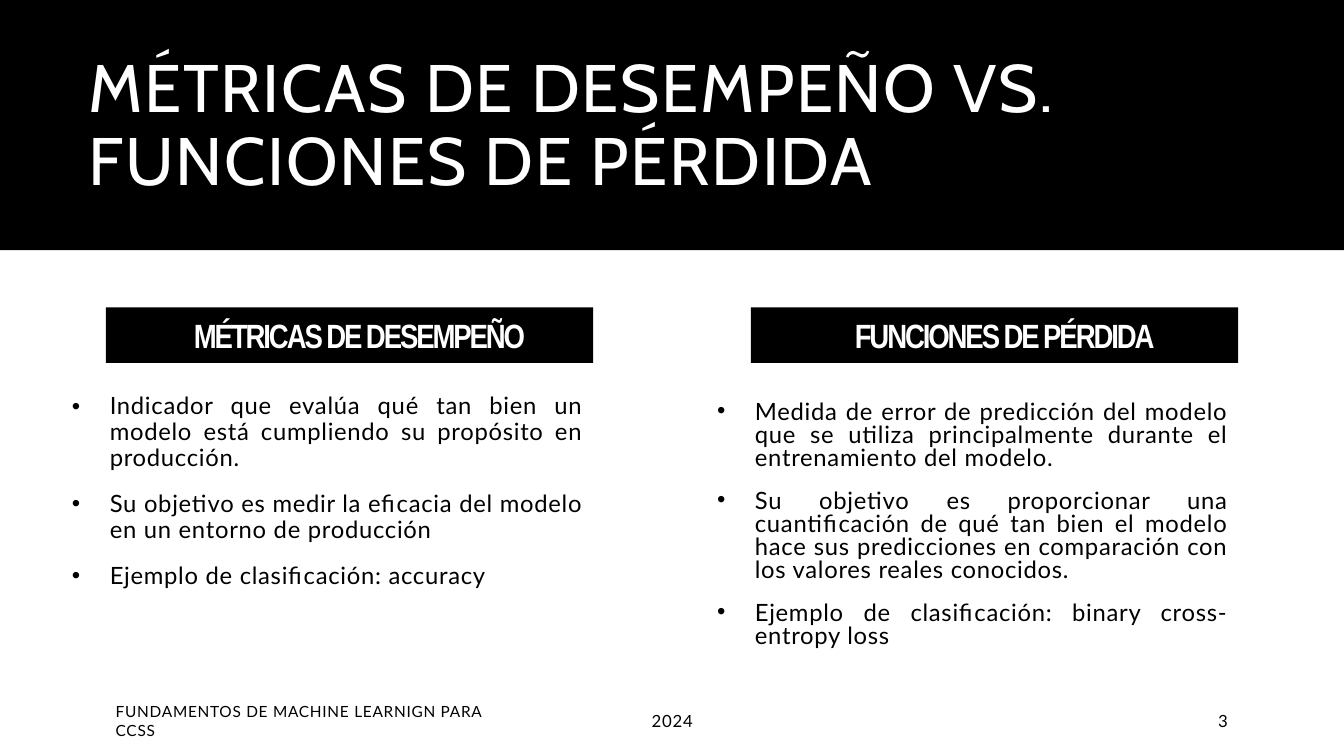
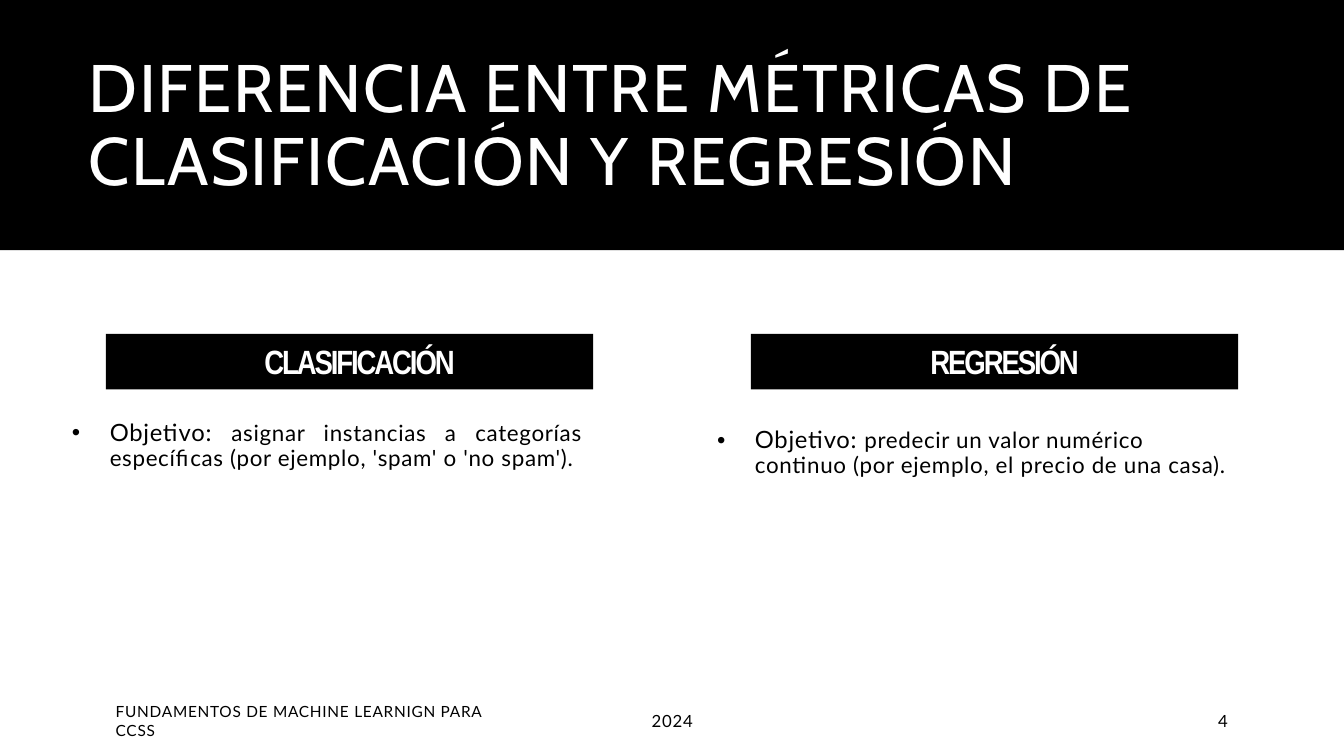
import dataclasses
import pptx
import pptx.util
import pptx.dml.color
import pptx.enum.shapes
import pptx.enum.text

Pt = pptx.util.Pt
RGB = pptx.dml.color.RGBColor.from_string
ALIGN = pptx.enum.text.PP_ALIGN
ANCHOR = pptx.enum.text.MSO_ANCHOR


@dataclasses.dataclass(frozen=True)
class Theme:
    dark: str = "000000"
    light: str = "FFFFFF"
    display: str = "Cabin"
    text: str = "Lato"
    narrow: str = "Arial Narrow"
    title: float = 48
    head: float = 24
    body: float = 17
    detail: float = 16
    foot: float = 11
    small: float = 12


THEME = Theme()
WIDE, HIGH = 960, 540
BAND = (0, 0, WIDE, 178.6)
TITLE = (56.2, 23.8, 848.2, 133.9)
LEFT, STEP = 75.6, 460.8
HEAD = (348, 39.6)
BODY = 379.4
DROPS = (58.3, 63.7)
FOOT = (500.4, 28.8)

SLIDES = [
    {
        "title": "MÉTRICAS DE DESEMPEÑO VS. FUNCIONES DE PÉRDIDA",
        "top": 219.6,
        "high": 203.8,
        "cols": [
            {
                "head": "MÉTRICAS DE DESEMPEÑO",
                "list": [
                    "Indicador que evalúa qué tan bien un modelo está cumpliendo su propósito en producción.",
                    "Su objetivo es medir la eficacia del modelo en un entorno de producción",
                    "Ejemplo de clasificación: accuracy",
                ],
            },
            {
                "head": "FUNCIONES DE PÉRDIDA",
                "lead": 0.81,
                "list": [
                    "Medida de error de predicción del modelo que se utiliza principalmente durante el entrenamiento del modelo.",
                    "Su objetivo es proporcionar una cuantificación de qué tan bien el modelo hace sus predicciones en comparación con los valores reales conocidos.",
                    "Ejemplo de clasificación: binary cross-entropy loss",
                ],
            },
        ],
    },
    {
        "title": "DIFERENCIA ENTRE MÉTRICAS DE CLASIFICACIÓN Y REGRESIÓN",
        "top": 238.5,
        "high": 51.1,
        "cols": [
            {
                "head": "CLASIFICACIÓN",
                "list": [("Objetivo: ", "asignar instancias a categorías específicas (por ejemplo, 'spam' o 'no spam').")],
            },
            {
                "head": "REGRESIÓN",
                "align": ALIGN.LEFT,
                "list": [("Objetivo: ", "predecir un valor numérico continuo (por ejemplo, el precio de una casa).")],
            },
        ],
    },
]
FIRST = 3
COURSE = "FUNDAMENTOS DE MACHINE LEARNIGN PARA CCSS"
YEAR = "2024"


def place(shape, left, top, width, height):
    shape.left, shape.top = Pt(left), Pt(top)
    shape.width, shape.height = Pt(width), Pt(height)


def write(shape, items, *, size, font=THEME.text, color=THEME.dark, bold=False,
          track=0.5, align=ALIGN.LEFT, anchor=ANCHOR.MIDDLE, lead=1.0,
          before=0, after=0, detail=None):
    frame = shape.text_frame
    frame.word_wrap = True
    frame.auto_size = pptx.enum.text.MSO_AUTO_SIZE.NONE
    frame.vertical_anchor = anchor
    for row, item in enumerate([items] if isinstance(items, str) else items):
        para = frame.add_paragraph() if row else frame.paragraphs[0]
        para.alignment, para.line_spacing = align, lead
        para.space_before = Pt(before if row else 0)
        para.space_after = Pt(after)
        for col, words in enumerate([item] if isinstance(item, str) else item):
            run = para.add_run()
            run.text = words
            run.font.name, run.font.bold = font, bold
            run.font.size = Pt(detail if col else size)
            run.font.color.rgb = RGB(color)
            run.font._element.set("spc", str(round(track * 100)))


def block(slide, *box):
    shape = slide.shapes.add_shape(pptx.enum.shapes.MSO_SHAPE.RECTANGLE, *map(Pt, box))
    shape.shadow.inherit = False
    shape.fill.solid()
    shape.fill.fore_color.rgb = RGB(THEME.dark)
    shape.line.fill.background()
    return shape


def column(slide, index, data, top, high):
    left = LEFT + index * STEP
    head = block(slide, left, top, *HEAD)
    frame = head.text_frame
    frame.margin_left, frame.margin_top = Pt(14.4), Pt(3)
    frame.margin_right = frame.margin_bottom = Pt(0)
    write(head, data["head"], size=THEME.head, font=THEME.narrow, color=THEME.light,
          bold=True, track=-1.5, align=ALIGN.CENTER, lead=0.9)
    body = slide.placeholders[index + 1]
    place(body, left + HEAD[0] - BODY, top + DROPS[index], BODY, high)
    write(body, data["list"], size=THEME.body, detail=THEME.detail, anchor=ANCHOR.TOP,
          align=data.get("align", ALIGN.JUSTIFY), lead=data.get("lead", 0.91),
          before=7, after=7)


def footer(slide, number):
    parts = [
        (COURSE, 75.6, 283, THEME.foot, ALIGN.LEFT, 0.5),
        (YEAR, 352.8, 254.9, THEME.small, ALIGN.CENTER, 0.5),
        (str(number), 810.7, 73.4, THEME.small, ALIGN.RIGHT, 0),
    ]
    for words, left, width, size, align, track in parts:
        top, high = FOOT
        box = slide.shapes.add_textbox(Pt(left), Pt(top), Pt(width), Pt(high))
        write(box, words, size=size, align=align, track=track, after=6)


def main():
    deck = pptx.Presentation()
    deck.slide_width, deck.slide_height = Pt(WIDE), Pt(HIGH)
    layout = deck.slide_layouts[3]
    place(layout.placeholders[0], *TITLE)
    for index, data in enumerate(SLIDES):
        slide = deck.slides.add_slide(layout)
        if index == 0:
            layout.shapes.element.insert(2, block(slide, *BAND).element)
        write(slide.shapes.title, data["title"], size=THEME.title, font=THEME.display,
              color=THEME.light, track=1.2, lead=0.9)
        for col, part in enumerate(data["cols"]):
            column(slide, col, part, data["top"], data["high"])
        footer(slide, FIRST + index)
    deck.save("out.pptx")


if __name__ == "__main__":
    main()
